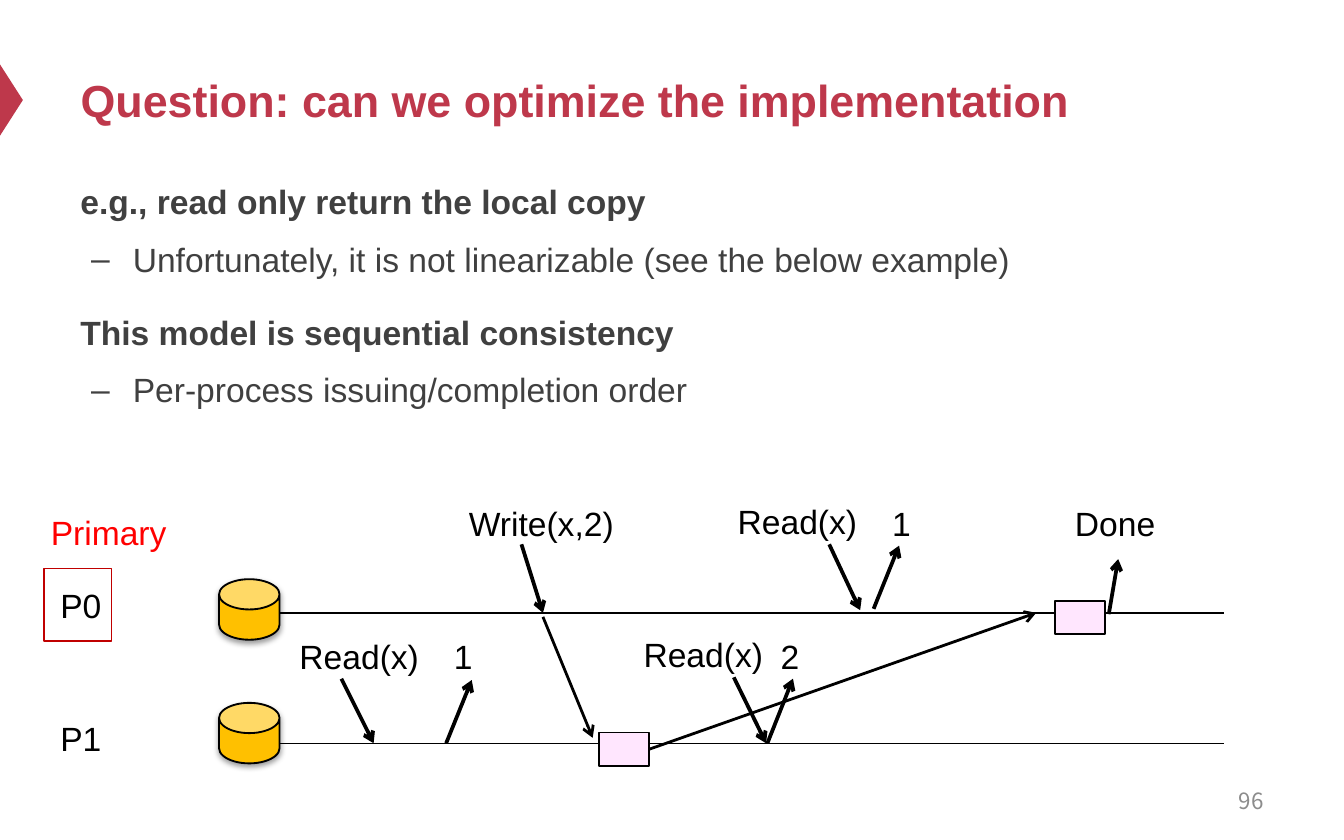
from lxml.etree import SubElement
from pptx import Presentation
from pptx.dml.color import RGBColor
from pptx.enum.shapes import MSO_CONNECTOR as Connector, MSO_SHAPE as Shape
from pptx.enum.text import MSO_ANCHOR as Anchor, MSO_AUTO_SIZE as AutoSize, PP_ALIGN as Align
from pptx.oxml.ns import qn
from pptx.util import Inches, Pt

COLORS = {"accent": "BE384B", "body": "404040", "number": "8C8C8C", "ink": "000000",
          "store": "FFC000", "message": "FFE6FE", "frame": "C00000", "primary": "FF0000"}
COLORS = {name: RGBColor.from_string(value) for name, value in COLORS.items()}

presentation = Presentation()
presentation.slide_width, presentation.slide_height = Inches(10), Inches(6.25)
COLUMN = presentation.slide_width / 100
ROW = presentation.slide_height / 62.5
slide = presentation.slides.add_slide(presentation.slide_layouts[5])
shapes = slide.shapes


def grid(left, top, width, height):
    """Turn columns and rows into slide lengths."""
    return [int(left * COLUMN), int(top * ROW), int(width * COLUMN), int(height * ROW)]


def write(paragraph, text, color, size=18, bold=False, font_name="Arial"):
    run = paragraph.add_run()
    run.text = text
    run.font.name, run.font.size, run.font.bold = font_name, Pt(size), bold
    run.font.color.rgb = COLORS[color]


# Title and its marker on the left edge
marker = shapes.add_shape(Shape.ISOSCELES_TRIANGLE, *grid(-1.8, 6.6, 5.3, 1.7))
marker.rotation = 90
marker.shadow.inherit = False
marker.fill.solid()
marker.fill.fore_color.rgb = COLORS["accent"]
marker.line.fill.background()

title = shapes.title
title.left, title.top, title.width, title.height = grid(5, 2.5, 90, 9.8)
title.text_frame.auto_size = AutoSize.NONE
title.text_frame.vertical_anchor = Anchor.MIDDLE
title.text_frame.paragraphs[0].alignment = Align.LEFT
write(title.text_frame.paragraphs[0], "Question: can we optimize the implementation",
      "accent", 24, True)

# Body: bold statements, each followed by a dashed detail
body = shapes.add_textbox(*grid(5, 12.4, 90, 21.1)).text_frame
body.word_wrap = True
statements = [
    ("e.g., read only return the local copy",
     "Unfortunately, it is not linearizable (see the below example)"),
    ("This model is sequential consistency", "Per-process issuing/completion order"),
]
for index, (statement, detail) in enumerate(statements):
    paragraph = body.add_paragraph() if index else body.paragraphs[0]
    paragraph.line_spacing = 1.2
    paragraph.space_before = Pt(13 if index else 0)
    write(paragraph, statement, "body", bold=True)

    paragraph = body.add_paragraph()
    paragraph.level = 1
    paragraph.line_spacing = 1.2
    paragraph.space_before = Pt(5)
    properties = paragraph._p.get_or_add_pPr()
    properties.set("marL", str(Inches(0.39)))
    properties.set("indent", str(-Inches(0.31)))
    SubElement(properties, qn("a:buFont"), typeface="Arial")
    SubElement(properties, qn("a:buChar"), char="–")
    write(paragraph, detail, "body")

# Process timelines and arrows: x1, y1, x2, y2, line width, arrowhead
P0_LINE, P1_LINE = 45.6, 55.3
lines = [(17.1, y, 91.1, y, 0.75, False) for y in (P0_LINE, P1_LINE)]
lines += [(*ends, 2, True) for ends in [
    (25.4, 50.5, 27.8, P1_LINE), (33.2, P1_LINE, 35.1, 50.6),
    (38.8, 40.5, 40.4, P0_LINE), (82.5, 45.7, 83.2, 41.6),
    (54.6, 50.4, 57, P1_LINE), (57.1, P1_LINE, 59, 50.5),
    (61.7, 40.5, 64, 45.4), (65, 45.3, 66.9, 40.6),
]]
lines += [(40.4, 45.9, 44.1, 54.9, 1.5, True), (48.3, 55.7, 77.1, P0_LINE, 1.5, True)]
for *ends, width, has_head in lines:
    connector = shapes.add_connector(Connector.STRAIGHT, *grid(*ends))
    connector.line.color.rgb = COLORS["ink"]
    connector.line.width = Pt(width)
    properties = connector.element.spPr
    if has_head:
        SubElement(properties.find(qn("a:ln")), qn("a:tailEnd"), type="arrow")
    SubElement(properties, qn("a:effectLst"))
acknowledgement = connector

# Data stores
for top in (43.1, 52.3):
    store = shapes.add_shape(Shape.CAN, *grid(16.3, top, 4.5, 4.5))
    store.adjustments[0] = 0.5
    store.fill.solid()
    store.fill.fore_color.rgb = COLORS["store"]
    store.line.color.rgb = COLORS["ink"]
    store.line.width = Pt(1)
    store.shadow.inherit = False
    shadow = SubElement(store.element.spPr.find(qn("a:effectLst")), qn("a:outerShdw"),
                        blurRad=str(Pt(3.1)), dist=str(Pt(1.6)), dir="5400000", rotWithShape="0")
    shade = SubElement(shadow, qn("a:srgbClr"), val=str(COLORS["ink"]))
    SubElement(shade, qn("a:alpha"), val="38000")

# Frame around the primary, then the two message boxes
boxes = []
for left, top, width, height, fill, outline in [
    (3.3, 42.3, 5, 5.4, None, "frame"),
    (44.6, 54.5, 3.7, 2.5, "message", "ink"),
    (78.5, 44.7, 3.7, 2.5, "message", "ink"),
]:
    box = shapes.add_shape(Shape.RECTANGLE, *grid(left, top, width, height))
    box.shadow.inherit = False
    if fill:
        box.fill.solid()
        box.fill.fore_color.rgb = COLORS[fill]
    else:
        box.fill.background()
    box.line.color.rgb = COLORS[outline]
    box.line.width = Pt(1)
    boxes.append(box)
acknowledgement.begin_connect(boxes[1], 3)

# Labels: text, left, top, width, colour
for text, left, top, width, color in [
    ("P0", 3.5, 43, 7.1, "ink"), ("P1", 3.5, 52.9, 7.1, "ink"),
    ("Primary", 2.8, 37.6, 15, "primary"),
    ("Read(x)", 21.3, 46.8, 17.5, "ink"), ("1", 32.8, 46.8, 4.6, "ink"),
    ("Write(x,2)", 33.9, 36.9, 17.5, "ink"), ("Done", 79, 36.9, 17.5, "ink"),
    ("Read(x)", 46.9, 46.7, 17.5, "ink"), ("2", 57.1, 46.8, 4.6, "ink"),
    ("Read(x)", 53.9, 36.8, 17.5, "ink"), ("1", 65.4, 36.9, 4.6, "ink"),
]:
    label = shapes.add_textbox(*grid(left, top, width, 4)).text_frame
    label.word_wrap = True
    write(label.paragraphs[0], text, color)

page_number = shapes.add_textbox(*grid(71.7, 57.9, 23.3, 3.3)).text_frame
page_number.word_wrap = True
page_number.vertical_anchor = Anchor.MIDDLE
page_number.paragraphs[0].alignment = Align.RIGHT
write(page_number.paragraphs[0], "96", "number", 12, font_name="Noto Sans CJK SC")

presentation.save("out.pptx")
